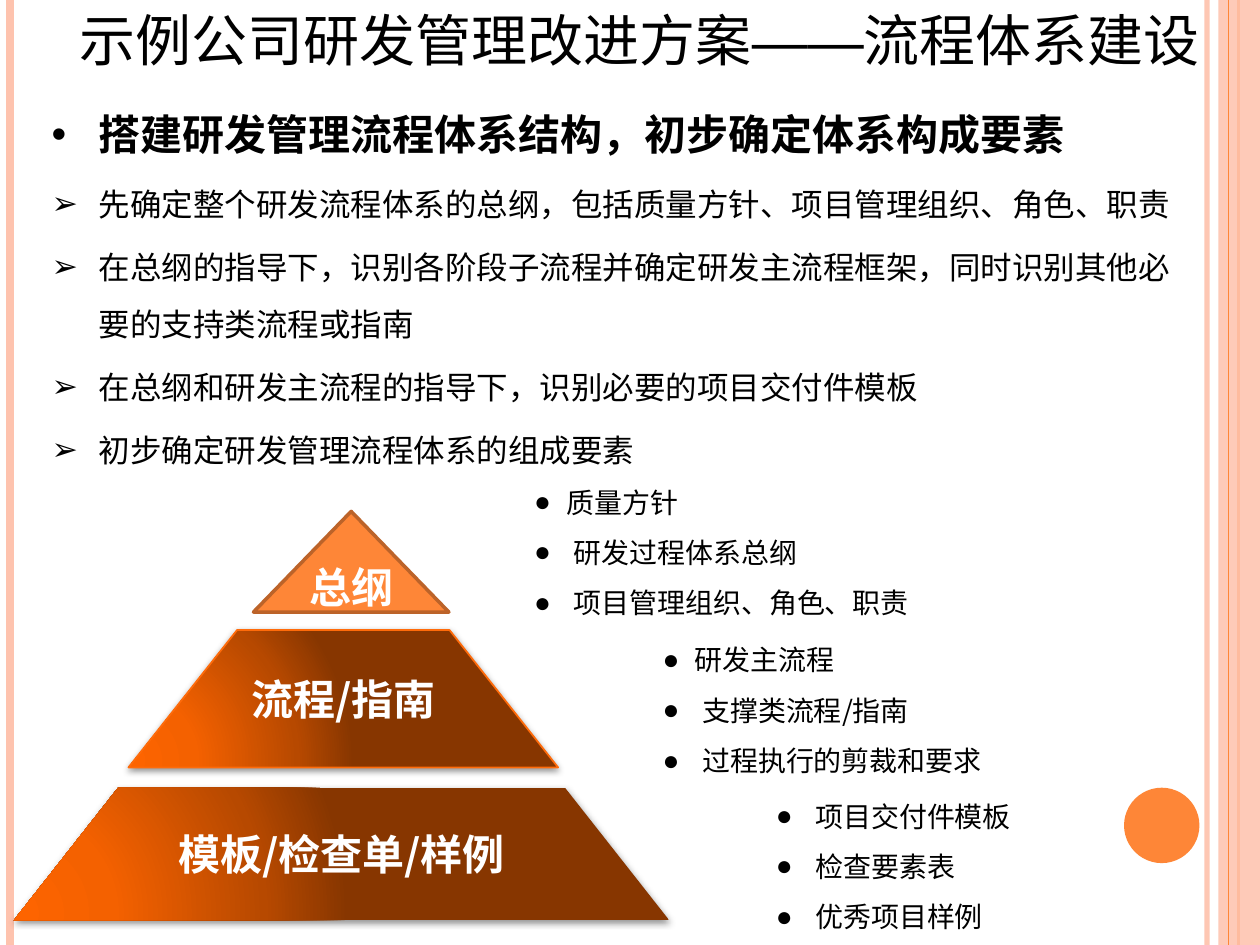
from lxml import etree
from pptx import Presentation
from pptx.dml.color import RGBColor
from pptx.enum.shapes import MSO_CONNECTOR, MSO_SHAPE
from pptx.enum.text import MSO_ANCHOR, PP_ALIGN
from pptx.oxml import parse_xml
from pptx.oxml.ns import qn
from pptx.util import Cm, Pt

STRAIGHT = MSO_CONNECTOR.STRAIGHT
RECTANGLE, OVAL, TRIANGLE = MSO_SHAPE.RECTANGLE, MSO_SHAPE.OVAL, MSO_SHAPE.ISOSCELES_TRIANGLE
LEFT, CENTER = PP_ALIGN.LEFT, PP_ALIGN.CENTER
TOP, MIDDLE = MSO_ANCHOR.TOP, MSO_ANCHOR.MIDDLE

COLORS = {"black": "000000", "white": "FFFFFF", "orange": "FE8637",
          "peach": "FEC3AE", "brown": "BC6329", "edge": "FF6B0A"}
BODY_FONT = "Noto Sans CJK SC"
NAMESPACE = 'xmlns:a="http://schemas.openxmlformats.org/drawingml/2006/main"'
GRADIENT_STOPS = [(0, "FD6400"), (30, "F46100"), (75, "B74900"), (100, "873600")]


def color(name):
    return RGBColor.from_string(COLORS[name])


def add_text(frame, text, size=16, font=BODY_FONT, ink="black", bold=False, align=LEFT,
             anchor=TOP, wrap=True, bullet=None, indent=0, spacing=None, before=0):
    """Write one paragraph, filling the frame's empty first one if possible."""
    frame.word_wrap = wrap
    frame.vertical_anchor = anchor
    first = not frame.text
    para = frame.paragraphs[0] if first else frame.add_paragraph()
    para.alignment = align
    if spacing:
        para.line_spacing = spacing
    if before and not first:
        para.space_before = Pt(before)
    if bullet:
        properties = para._p.get_or_add_pPr()
        properties.set("marL", str(Cm(indent)))
        properties.set("indent", str(-Cm(indent)))
        etree.SubElement(properties, qn("a:buFont")).set("typeface", "Arial")
        etree.SubElement(properties, qn("a:buChar")).set("char", bullet)
    span = para.add_run()
    span.text = text
    span.font.size = Pt(size)
    span.font.bold = bold
    span.font.name = font
    span.font.color.rgb = color(ink)
    etree.SubElement(span._r.get_or_add_rPr(), qn("a:ea")).set("typeface", font)


deck = Presentation()
deck.slide_width, deck.slide_height = Cm(25.4), Cm(19.05)
page = deck.slides.add_slide(deck.slide_layouts[6])

# Side stripes and dot; the band lies over the first three rules
band = [(24.33, 3, "peach", 93), (0.2, 4.5, "peach", 100), (24.97, 1.5, "orange", 100),
        None, (24.77, 0.75, "orange", 100)]
for stripe in band:
    if stripe is None:
        panel = page.shapes.add_shape(RECTANGLE, Cm(24.56), 0, Cm(0.84), Cm(19.05))
        panel.shadow.inherit = False
        panel.fill.solid()
        panel.fill.fore_color.rgb = color("peach")
        panel.line.fill.background()
        tint = panel._element.spPr.find(".//" + qn("a:srgbClr"))
        etree.SubElement(tint, qn("a:alpha")).set("val", "87000")
        continue
    x, weight, ink, opacity = stripe
    rule = page.shapes.add_connector(STRAIGHT, Cm(x), 0, Cm(x), Cm(19.05))
    rule.line.width = Pt(weight)
    rule.line.color.rgb = color(ink)
    if opacity < 100:
        tint = rule._element.spPr.find(".//" + qn("a:srgbClr"))
        etree.SubElement(tint, qn("a:alpha")).set("val", str(opacity * 1000))
    etree.SubElement(rule._element.spPr, qn("a:effectLst"))

dot = page.shapes.add_shape(OVAL, Cm(22.66), Cm(15.88), Cm(1.52), Cm(1.52))
dot.shadow.inherit = False
dot.fill.solid()
dot.fill.fore_color.rgb = color("orange")
dot.line.fill.background()

# Title
title = page.shapes.add_textbox(Cm(1.19), Cm(0.2), Cm(23.42), Cm(1.19))
add_text(title.text_frame, "示例公司研发管理改进方案——流程体系建设", size=32, font="Arial",
         align=CENTER, anchor=MIDDLE)

# Main points
points = page.shapes.add_textbox(Cm(0.79), Cm(2.18), Cm(23.37), Cm(8.53))
add_text(points.text_frame, "搭建研发管理流程体系结构，初步确定体系构成要素", size=24,
         bold=True, bullet="•", indent=0.95, spacing=0.9)
for point in [
    "先确定整个研发流程体系的总纲，包括质量方针、项目管理组织、角色、职责",
    "在总纲的指导下，识别各阶段子流程并确定研发主流程框架，同时识别其他必要的支持类流程或指南",
    "在总纲和研发主流程的指导下，识别必要的项目交付件模板",
    "初步确定研发管理流程体系的组成要素",
]:
    add_text(points.text_frame, point, size=18, bullet="➢", indent=0.95, spacing=1.5,
             before=3.6)

# Pyramid: two lower tiers, drawn wide side up and turned by 180 degrees
stops = "".join(f'<a:gs pos="{position * 1000}"><a:srgbClr val="{value}"/></a:gs>'
                for position, value in GRADIENT_STOPS)
gradient = (f'<a:gradFill {NAMESPACE} rotWithShape="1"><a:gsLst>{stops}</a:gsLst>'
            '<a:path path="circle"><a:fillToRect l="5000" t="100000" r="120000" b="10000"/>'
            '</a:path></a:gradFill>')
shadow = (f'<a:effectLst {NAMESPACE}><a:outerShdw blurRad="{Pt(4)}" dist="{Pt(1.6)}" '
          'dir="5400000" rotWithShape="0"><a:srgbClr val="000000"><a:alpha val="42000"/>'
          '</a:srgbClr></a:outerShdw></a:effectLst>')
tiers = [("模板/检查单/样例", 0.28, 15.88, 13.21, 2.67, 2.1, None),
         ("流程/指南", 2.59, 12.7, 8.66, 2.77, 2.19, "edge")]
for label, left, top, width, height, inset, outline in tiers:
    right, bottom = left + width, top + height
    builder = page.shapes.build_freeform(Cm(left), Cm(top))
    builder.add_line_segments([(Cm(left + inset), Cm(bottom)), (Cm(right - inset), Cm(bottom)),
                               (Cm(right), Cm(top))], close=True)
    tier = builder.convert_to_shape()
    tier.rotation = 180
    if outline:
        tier.line.width = Pt(1)
        tier.line.color.rgb = color(outline)
    else:
        tier.line.fill.background()
    properties = tier._element.spPr
    properties.find(qn("a:custGeom")).addnext(parse_xml(gradient))
    properties.append(parse_xml(shadow))
    add_text(tier.text_frame, label, size=24, ink="white", bold=True, align=CENTER,
             anchor=MIDDLE, wrap=False)
    tier.text_frame._txBody.bodyPr.set("rot", "10800000")

# Pyramid: tip
tip = page.shapes.add_shape(TRIANGLE, Cm(5.11), Cm(10.31), Cm(3.94), Cm(2.03))
tip.shadow.inherit = False
tip.fill.solid()
tip.fill.fore_color.rgb = color("orange")
tip.line.width = Pt(2)
tip.line.color.rgb = color("brown")
add_text(tip.text_frame, "总纲", size=24, ink="white", bold=True, align=CENTER,
         anchor=MIDDLE, wrap=False)

# Contents of each tier; the first item may hang closer to its bullet
contents = [
    (10.52, 9.32, 10.8, 0.65, ["质量方针", "研发过程体系总纲", "项目管理组织、角色、职责"]),
    (13.11, 12.5, 9.37, 0.65, ["研发主流程", "支撑类流程/指南", "过程执行的剪裁和要求"]),
    (15.39, 15.65, 9.37, 0.8, ["项目交付件模板", "检查要素表", "优秀项目样例"]),
]
for left, top, width, first_indent, items in contents:
    box = page.shapes.add_textbox(Cm(left), Cm(top), Cm(width), Cm(3.23))
    for number, item in enumerate(items):
        add_text(box.text_frame, item, bullet="●", spacing=1.5,
                 indent=0.8 if number else first_indent)

deck.save("out.pptx")
